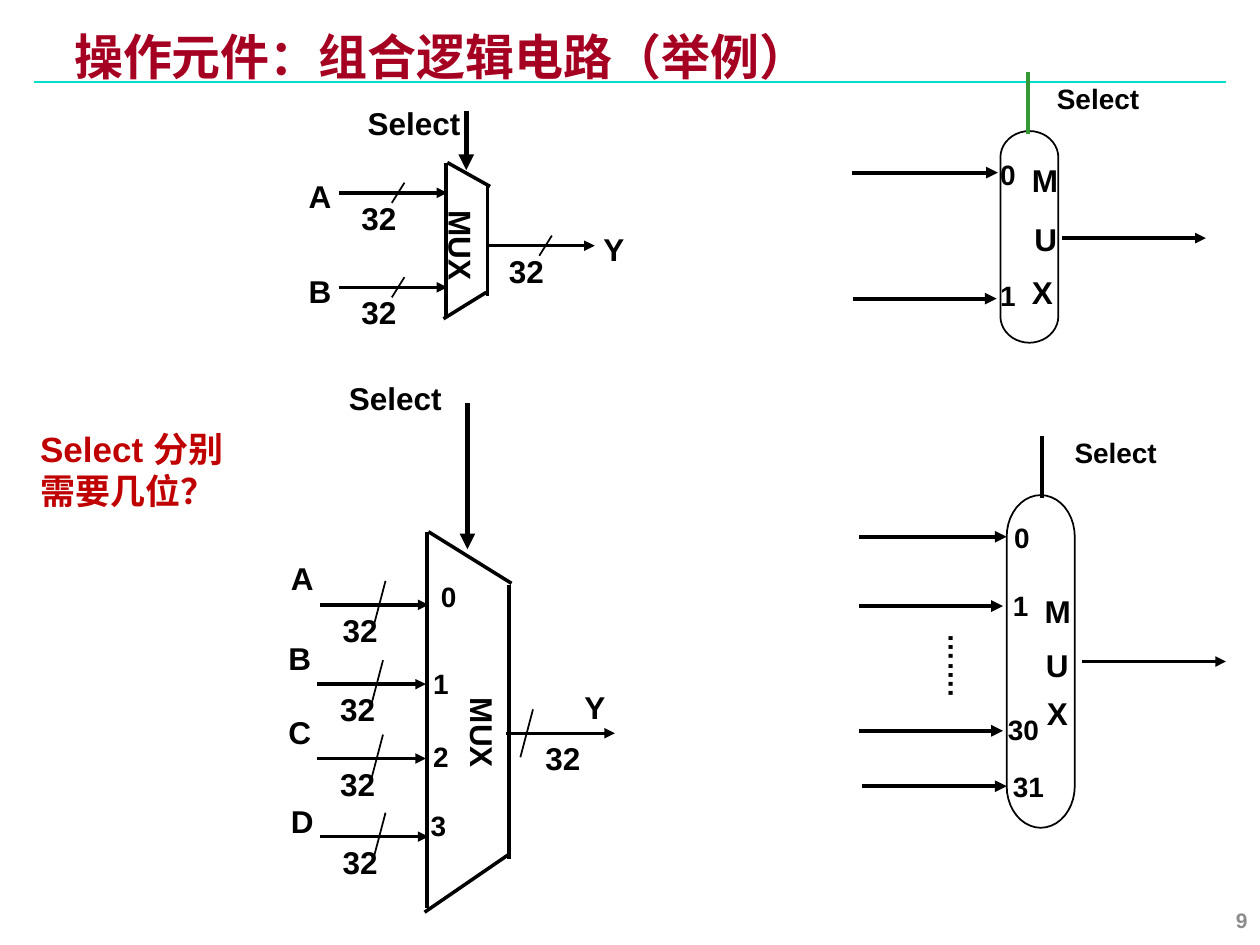
import math
from dataclasses import dataclass

from lxml import etree
from pptx import Presentation
from pptx import util as u
from pptx.dml.color import RGBColor
from pptx.enum import shapes, text
from pptx.oxml.ns import qn


@dataclass(frozen=True)
class Theme:
    font: str = "Arial"
    ink: str = "000000"
    title: str = "A50021"
    question: str = "C00000"
    rule: str = "00DFCA"
    control: str = "339933"
    muted: str = "8C8C8C"
    title_size: int = 28
    question_size: int = 20
    label_size: int = 18
    port_size: int = 16
    page_size: int = 12
    thin: float = 1
    edge: float = 2
    wire: float = 2.25
    select: float = 3


T = Theme()
W, H = u.Inches(10), u.Inches(7.5)
COL, ROW = W // 100, H // 75
TALL = 9.7
WIRE = 8.6


def gx(cols):
    return round(cols * COL)


def gy(rows):
    return round(rows * ROW)


def line(s, x1, y1, x2, y2, width=T.edge, color=T.ink, arrow=False):
    sp = s.shapes.add_connector(
        shapes.MSO_CONNECTOR.STRAIGHT, gx(x1), gy(y1), gx(x2), gy(y2))
    sp.line.width = u.Pt(width)
    sp.line.color.rgb = RGBColor.from_string(color)
    if arrow:
        ln = sp.line._get_or_add_ln()
        etree.SubElement(ln, qn("a:tailEnd"), type="triangle")
    etree.SubElement(sp._element.spPr, qn("a:effectLst"))


def label(s, txt, x, y, w, h=4, size=T.label_size, color=T.ink, wrap=False,
          grow=True, inset=True, anchor=text.MSO_ANCHOR.TOP,
          align=text.PP_ALIGN.LEFT, spacing=None, turn=0, vert=None):
    sp = s.shapes.add_textbox(gx(x), gy(y), gx(w), gy(h))
    sp.rotation = turn
    tf = sp.text_frame
    tf.text = txt
    tf.word_wrap = wrap
    tf.vertical_anchor = anchor
    fit = text.MSO_AUTO_SIZE
    tf.auto_size = fit.SHAPE_TO_FIT_TEXT if grow else fit.NONE
    if not inset:
        tf.margin_left = tf.margin_right = tf.margin_top = tf.margin_bottom = 0
    if vert:
        tf._txBody.bodyPr.set("vert", vert)
    for p in tf.paragraphs:
        p.alignment = align
        p.line_spacing = spacing
        for r in p.runs:
            r.font.name = T.font
            r.font.size = u.Pt(size)
            r.font.bold = True
            r.font.color.rgb = RGBColor.from_string(color)


def port(s, txt, x, y):
    label(s, txt, x, y, 2.1 + 1.2 * len(txt), 3.7, T.port_size)


def bus(s, x, y, half, h, tick=5.2, width_at=0.8):
    line(s, x, y, x + WIRE, y, arrow=True)
    line(s, x + tick, y - half, x + tick - 1, y + half, T.thin)
    label(s, "32", x + width_at, y, 4.8, h)


def capsule(s, x, y, w, h, cap, steps=20):
    arc = [math.pi * i / steps for i in range(steps + 1)]
    rx = w / 2
    pts = [(x + rx - rx * math.cos(a), y + cap - cap * math.sin(a)) for a in arc]
    pts += [(x + rx + rx * math.cos(a), y + h - cap + cap * math.sin(a)) for a in arc]
    pts = [(gx(px), gy(py)) for px, py in pts]
    fb = s.shapes.build_freeform(*pts[0])
    fb.add_line_segments(pts[1:], close=True)
    sp = fb.convert_to_shape()
    sp.shadow.inherit = False
    sp.fill.background()
    sp.line.width = u.Pt(T.thin)
    sp.line.color.rgb = RGBColor.from_string(T.ink)


def letters(s, spots):
    for txt, (x, y, w) in zip("MUX", spots):
        label(s, txt, x, y, w, 3, inset=False)


def turned_name(s, x, y):
    label(s, "MUX", x, y, 9, wrap=True, turn=90)


def trapezoid(s, edges):
    for edge in edges:
        line(s, *edge)


def two_way_mux(s):
    trapezoid(s, [(35.4, 12.9, 35.4, 25.2), (35.5, 12.9, 38.9, 14.8),
                  (35.2, 25.3, 38.6, 23.2), (38.7, 14.6, 38.7, 23.5)])
    for txt, y in (("A", 15.3), ("B", 22.8)):
        bus(s, 26.9, y, 0.8, 4)
        label(s, txt, 23.5, y - 1.7, 3.8)
    bus(s, 38.6, 19.5, 0.8, 4)
    label(s, "Y", 46.9, 17.8, 3.6)
    line(s, 37, 8.8, 37, 13.5, T.select, arrow=True)
    label(s, "Select", 28.2, 7.8, 9.4)
    turned_name(s, 32.1, 18.2)


def four_way_mux(s):
    trapezoid(s, [(33.9, 42.2, 33.9, 72.1), (34, 42.2, 40.6, 46.3),
                  (33.7, 72.4, 40.4, 67.8), (40.4, 46.4, 40.4, 68.2)])
    inputs = (("A", 25.4, 48, 4.1, TALL), ("B", 25.2, 54.3, 4.1, 4),
              ("C", 25.2, 60.2, 4.1, 4), ("D", 25.4, 66.4, 3.2, 4))
    for txt, x, y, rise, h in inputs:
        bus(s, x, y, 1.9, TALL)
        label(s, txt, x - 3.3, y - rise, 3.8, h)
    for i, (x, y) in enumerate([(34, 45.5), (33.4, 52.4), (33.4, 58.2), (33.2, 63.7)]):
        port(s, str(i), x, y)
    bus(s, 40.2, 58.2, 1.9, TALL, tick=2.1, width_at=2.1)
    label(s, "Y", 45.4, 54.1, 3.6, TALL)
    line(s, 37.1, 32, 37.1, 43.6, T.select, arrow=True)
    label(s, "Select", 26.7, 29.6, 9.4, TALL)
    turned_name(s, 33.8, 56.9)


def round_mux(s, body, spots, wires, ports, out, select):
    letters(s, spots)
    capsule(s, *body)
    for x1, x2, y in wires:
        line(s, x1, y, x2, y, T.wire, arrow=True)
    line(s, out[0], out[1], out[0] + 11.4, out[1], arrow=True)
    x, y, color, label_x, label_y = select
    line(s, x, y, x, y - 4.9, T.wire, color)
    label(s, "Select", label_x, label_y, 8.6, 3.7, T.port_size)
    for txt, port_x, port_y in ports:
        port(s, txt, port_x, port_y)


def main():
    prs = Presentation()
    prs.slide_width, prs.slide_height = W, H
    s = prs.slides.add_slide(prs.slide_layouts[6])
    middle = text.MSO_ANCHOR.MIDDLE
    line(s, 2.7, 6.5, 97.3, 6.5, 1.5, T.rule)
    label(s, "9", 77.5, 71, 22.5, 4, T.page_size, T.muted, wrap=True,
          grow=False, anchor=middle, align=text.PP_ALIGN.RIGHT)
    two_way_mux(s)
    four_way_mux(s)
    round_mux(
        s, body=(79.9, 39.3, 5.4, 26.4, 3.3),
        spots=[(82.9, 47, 2.1), (83, 51.3, 1.8), (83.1, 55.1, 1.7)],
        wires=[(68.2, 79.9, 42.6), (68.2, 79.6, 48.1),
               (68.2, 79.6, 58), (68.4, 79.9, 62.4)],
        ports=[("0", 79.5, 40.8), ("1", 79.4, 46.2),
               ("30", 79, 56.1), ("31", 79.4, 60.6)],
        out=(85.9, 52.5), select=(82.7, 39.5, T.ink, 84.3, 34.1))
    round_mux(
        s, body=(79.4, 10.4, 4.6, 16.8, 2.1),
        spots=[(81.9, 12.8, 2.1), (82.1, 17.5, 1.8), (81.9, 21.7, 1.7)],
        wires=[(67.6, 79.2, 13.7), (67.7, 79.1, 23.7)],
        ports=[("0", 78.4, 12), ("1", 78.4, 21.6)],
        out=(84.3, 18.9), select=(81.6, 10.6, T.control, 82.9, 6))
    label(s, "…….", 73.3, 49.3, 4.7, 6.1, T.port_size, vert="eaVert")
    label(s, "操作元件：组合逻辑电路（举例）", 4.9, 2.5, 64.1, 4.6, T.title_size,
          T.title, wrap=True, grow=False, anchor=middle, spacing=0.87)
    label(s, "Select 分别\n需要几位？", 2.2, 33.4, 16.7, 7.7, T.question_size,
          T.question, wrap=True)
    prs.save("out.pptx")


if __name__ == "__main__":
    main()
